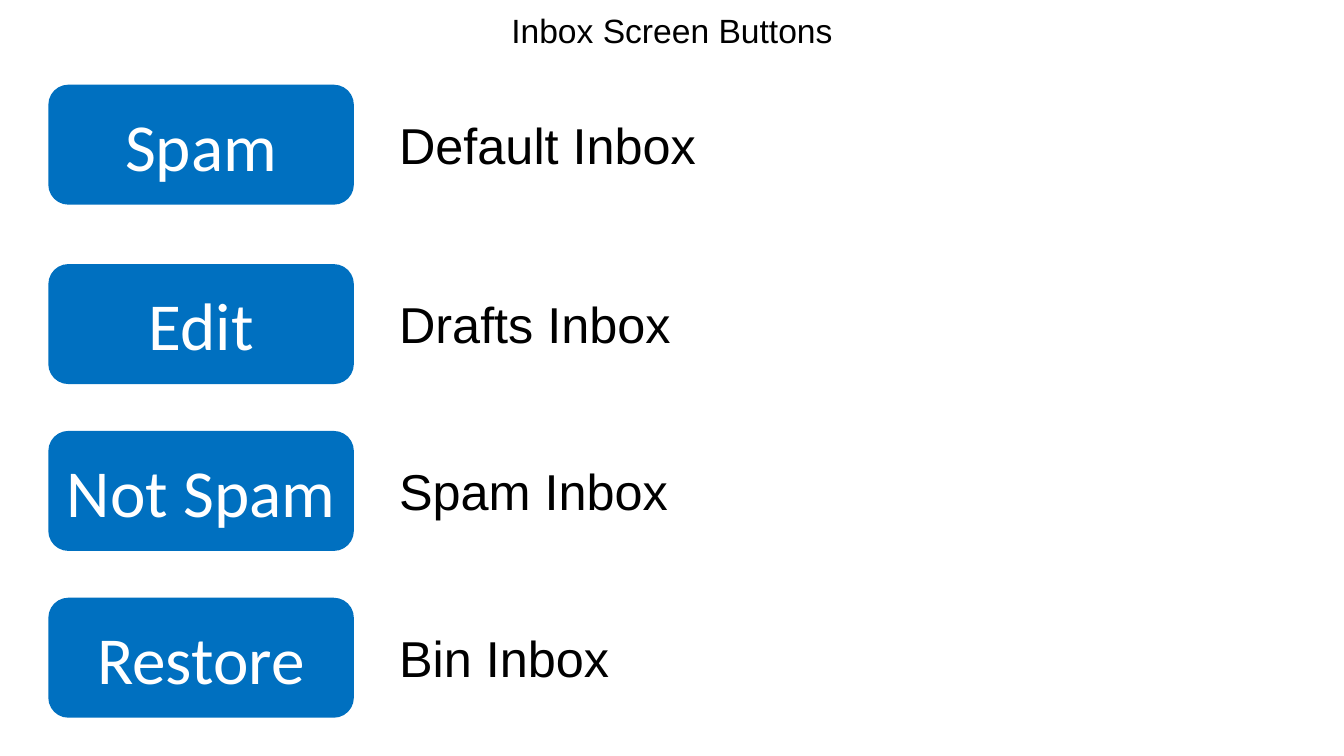
import pptx
import pptx.util
from dataclasses import dataclass
from pptx.dml.color import RGBColor
from pptx.enum.shapes import MSO_SHAPE
from pptx.enum.text import MSO_ANCHOR, MSO_AUTO_SIZE, PP_ALIGN

Inches = pptx.util.Inches


@dataclass(frozen=True)
class Theme:
    button_fill: str = "0070C0"
    button_text: str = "FFFFFF"
    text: str = "000000"
    button_font: str = "Calibri"
    text_font: str = "Arial"
    title_size: int = 24
    label_size: int = 36
    button_size: int = 48


THEME = Theme()
PAGE_WIDTH, PAGE_HEIGHT = 13.33, 7.5

# Grid: a button column and a label column; the first row stands a little higher
BUTTON_LEFT, BUTTON_WIDTH = 0.48, 3.03
LABEL_LEFT, LABEL_WIDTH, LABEL_HEIGHT = 3.86, 3.43, 0.71
ROW_HEIGHT = 1.19
FIRST_TOP, SECOND_TOP, ROW_PITCH = 0.84, 2.62, 1.655

ROWS = [
    ("Spam", "Default Inbox"),
    ("Edit", "Drafts Inbox"),
    ("Not Spam", "Spam Inbox"),
    ("Restore", "Bin Inbox"),
]


def write(frame, words, font, size, color, align):
    frame.word_wrap = True
    para = frame.paragraphs[0]
    para.text = words
    para.alignment = align
    para.font.name = font
    para.font.size = pptx.util.Pt(size)
    para.font.color.rgb = RGBColor.from_string(color)


def add_text(page, box, words, size, align):
    frame = page.shapes.add_textbox(*map(Inches, box)).text_frame
    write(frame, words, THEME.text_font, size, THEME.text, align)
    frame.auto_size = MSO_AUTO_SIZE.SHAPE_TO_FIT_TEXT


def add_button(page, box, words):
    button = page.shapes.add_shape(MSO_SHAPE.ROUNDED_RECTANGLE, *map(Inches, box))
    button.shadow.inherit = False
    button.fill.solid()
    button.fill.fore_color.rgb = RGBColor.from_string(THEME.button_fill)
    button.line.fill.background()
    button.text_frame.vertical_anchor = MSO_ANCHOR.MIDDLE
    write(button.text_frame, words, THEME.button_font, THEME.button_size,
          THEME.button_text, PP_ALIGN.CENTER)


def add_row(page, top, action, inbox):
    """Button with the name of its inbox centred beside it."""
    add_button(page, (BUTTON_LEFT, top, BUTTON_WIDTH, ROW_HEIGHT), action)
    label_top = top + (ROW_HEIGHT - LABEL_HEIGHT) / 2
    add_text(page, (LABEL_LEFT, label_top, LABEL_WIDTH, LABEL_HEIGHT), inbox,
             THEME.label_size, PP_ALIGN.LEFT)


def main():
    deck = pptx.Presentation()
    deck.slide_width = Inches(PAGE_WIDTH)
    deck.slide_height = Inches(PAGE_HEIGHT)
    page = deck.slides.add_slide(deck.slide_layouts[6])

    # Title, centred on the page
    title_width = 3.43
    add_text(page, ((PAGE_WIDTH - title_width) / 2, 0.05, title_width, 0.5),
             "Inbox Screen Buttons", THEME.title_size, PP_ALIGN.CENTER)

    # Button rows
    tops = [FIRST_TOP] + [SECOND_TOP + ROW_PITCH * step for step in range(len(ROWS) - 1)]
    for top, (action, inbox) in zip(tops, ROWS):
        add_row(page, top, action, inbox)

    deck.save("out.pptx")


if __name__ == "__main__":
    main()
